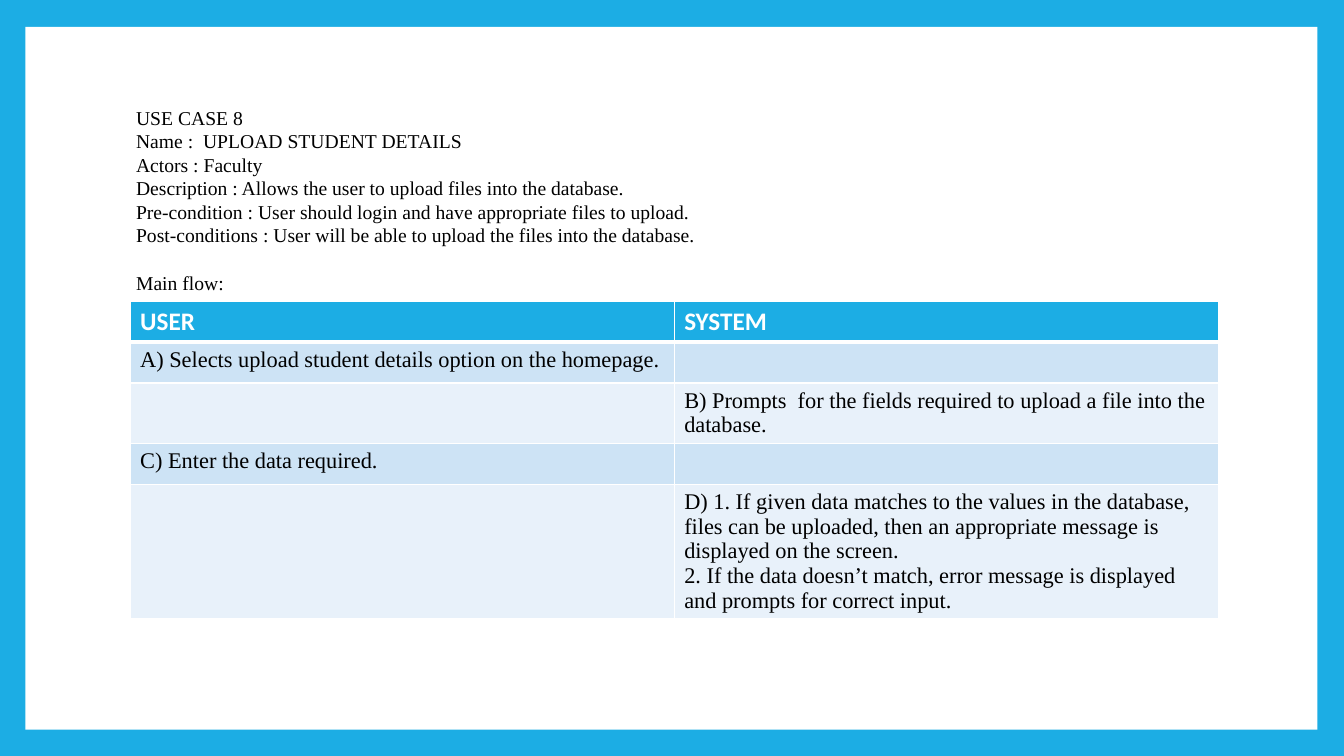
from lxml import etree
from pptx import Presentation
from pptx.dml.color import RGBColor
from pptx.enum.shapes import MSO_SHAPE
from pptx.oxml.ns import qn
from pptx.util import Cm, Pt

RECTANGLE = MSO_SHAPE.RECTANGLE
BLANK_LAYOUT = 6

COLOURS = {
    "accent": "1CADE4",
    "paper": "FFFFFF",
    "ink": "000000",
    "band_dark": "CDE3F5",
    "band_light": "E8F1FA",
}

USE_CASE = [
    "USE CASE 8",
    "Name :  UPLOAD STUDENT DETAILS",
    "Actors : Faculty",
    "Description : Allows the user to upload files into the database.",
    "Pre-condition : User should login and have appropriate files to upload.",
    "Post-conditions : User will be able to upload the files into the database.",
    "Main flow:",
]

MAIN_FLOW = [
    ("USER", "SYSTEM"),
    ("A) Selects upload student details option on the homepage.", ""),
    ("", "B) Prompts  for the fields required to upload a file into the database."),
    ("C) Enter the data required.", ""),
    ("", "D) 1. If given data matches to the values in the database, files can be "
         "uploaded, then an appropriate message is displayed on the screen.\n"
         "2. If the data doesn’t match, error message is displayed and prompts "
         "for correct input."),
]
ROW_HEIGHTS = [1.03, 1.03, 1.52, 1.03, 3.4]


def colour(name):
    return RGBColor.from_string(COLOURS[name])


def paint(fill, name):
    fill.solid()
    fill.fore_color.rgb = colour(name)


def write(frame, text, font="Times New Roman", size=14, ink="ink", bold=False):
    """Fill a text frame, one paragraph for each line of text."""
    frame.text = text
    for paragraph in frame.paragraphs:
        for run in paragraph.runs:
            run.font.name = font
            run.font.size = Pt(size)
            run.font.bold = bold
            run.font.color.rgb = colour(ink)


def add_panel(slide):
    panel = slide.shapes.add_shape(RECTANGLE, Cm(0.64), Cm(0.68), Cm(32.56), Cm(17.71))
    panel.shadow.inherit = False
    paint(panel.fill, "paper")
    panel.line.fill.background()


def add_details(slide, lines):
    details = slide.shapes.add_textbox(Cm(3.18), Cm(2.54), Cm(20.75), Cm(5.05))
    frame = details.text_frame
    frame.word_wrap = True
    write(frame, "\n".join(lines))
    # The flow heading stands one line below the details
    frame.paragraphs[-1].space_before = Pt(17)


def set_borders(cell, widths):
    properties = cell._tc.get_or_add_tcPr()
    for side, width in widths.items():
        border = etree.SubElement(properties, qn(f"a:ln{side}"), w=str(Pt(width)))
        fill = etree.SubElement(border, qn("a:solidFill"))
        etree.SubElement(fill, qn("a:srgbClr"), val=COLOURS["paper"])


def add_flow_table(slide, rows):
    flow = slide.shapes.add_table(
        len(rows), 2, Cm(3.28), Cm(7.59), Cm(27.42), Cm(sum(ROW_HEIGHTS))).table
    for row_index, steps in enumerate(rows):
        flow.rows[row_index].height = Cm(ROW_HEIGHTS[row_index])
        header = row_index == 0
        band = "accent" if header else ("band_light", "band_dark")[row_index % 2]
        for column_index, step in enumerate(steps):
            cell = flow.cell(row_index, column_index)
            set_borders(cell, {"L": 1, "R": 1, "T": 3 if row_index == 1 else 1,
                               "B": 3 if header else 1})
            paint(cell.fill, band)
            if header:
                write(cell.text_frame, step, font="Calibri", size=18, ink="paper", bold=True)
            elif step:
                write(cell.text_frame, step, size=16)


def main():
    deck = Presentation()
    deck.slide_width, deck.slide_height = Cm(33.87), Cm(19.05)
    slide = deck.slides.add_slide(deck.slide_layouts[BLANK_LAYOUT])

    # Frame: coloured background with a white panel
    paint(slide.background.fill, "accent")
    add_panel(slide)

    # Use case and its main flow
    add_flow_table(slide, MAIN_FLOW)
    add_details(slide, USE_CASE)
    deck.save("out.pptx")


if __name__ == "__main__":
    main()
